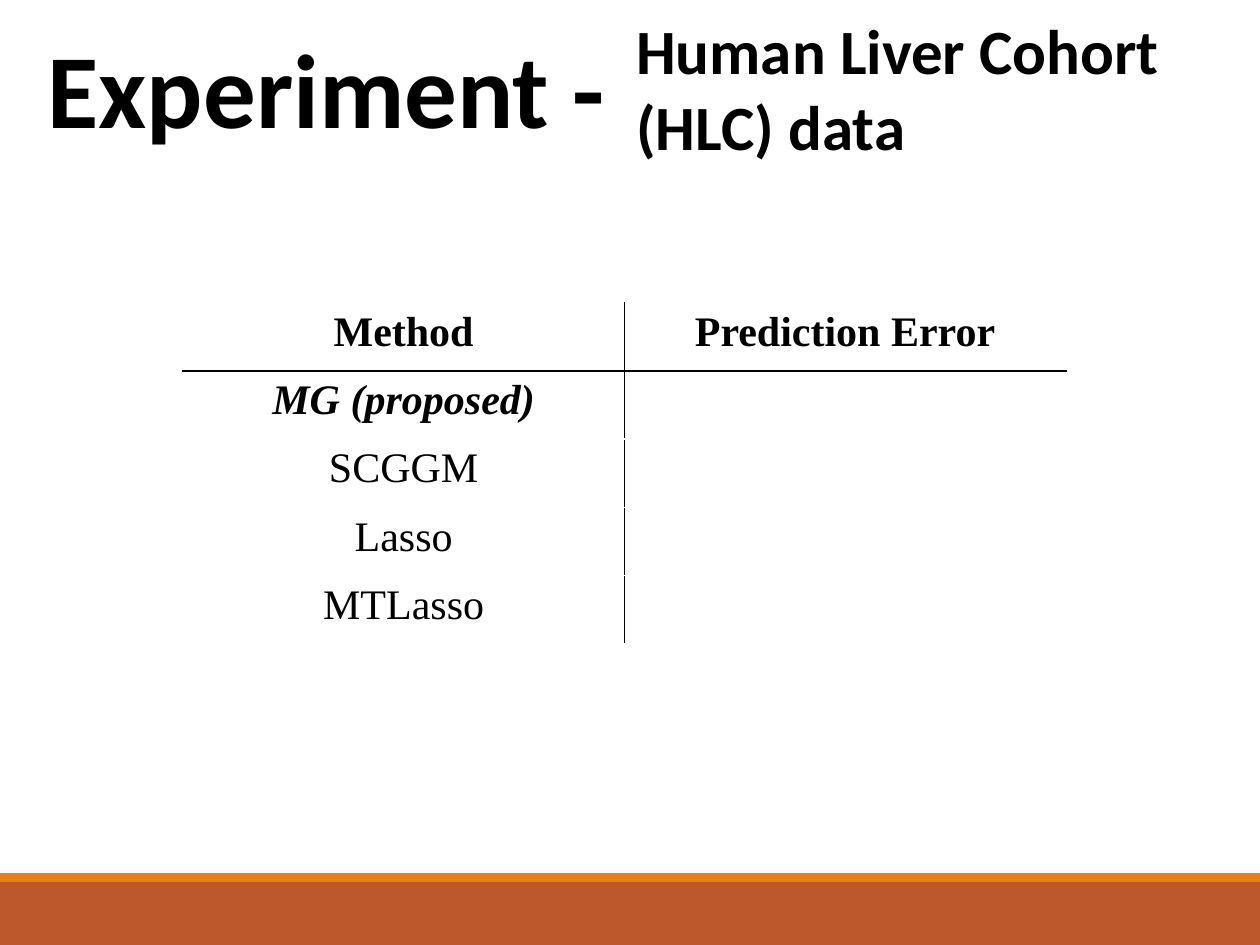
"""Build the Human Liver Cohort experiment slide with its method table."""
from dataclasses import dataclass

from lxml.etree import SubElement
from pptx import Presentation
from pptx.dml.color import RGBColor
from pptx.enum.shapes import MSO_SHAPE
from pptx.enum.text import MSO_ANCHOR, MSO_AUTO_SIZE, PP_ALIGN
from pptx.oxml.ns import qn
from pptx.util import Pt


@dataclass(frozen=True)
class Theme:
    ink: str = "000000"
    band: str = "BD582C"
    stripe: str = "E48312"
    heading_font: str = "Calibri"
    table_font: str = "Times New Roman"
    title_size: int = 60
    subtitle_size: int = 36
    table_size: int = 24


theme = Theme()


def add_text(paragraph, text, font_name, size, bold=True, italic=False):
    run = paragraph.add_run()
    run.text = text
    run.font.name = font_name
    run.font.size = Pt(size)
    run.font.bold = bold
    run.font.italic = italic
    run.font.color.rgb = RGBColor.from_string(theme.ink)


def add_border(cell, side):
    line = SubElement(cell._tc.get_or_add_tcPr(), qn(f"a:{side}"), w=str(Pt(1)))
    fill = SubElement(line, qn("a:solidFill"))
    SubElement(fill, qn("a:srgbClr"), val=theme.ink)


presentation = Presentation()
presentation.slide_width = Pt(720)
presentation.slide_height = Pt(540)
slide = presentation.slides.add_slide(presentation.slide_layouts[5])

for top, height, color in ((504, 36, theme.band), (499, 5, theme.stripe)):
    bar = slide.shapes.add_shape(MSO_SHAPE.RECTANGLE, 0, Pt(top), Pt(720), Pt(height))
    bar.shadow.inherit = False
    bar.fill.solid()
    bar.fill.fore_color.rgb = RGBColor.from_string(color)
    bar.line.fill.background()

title = slide.shapes.title
subtitle = slide.shapes.add_textbox(0, 0, Pt(356), Pt(94))
headings = (
    (title, "Experiment -", theme.title_size, (20, 10, 354, 80)),
    (subtitle, "Human Liver Cohort (HLC) data", theme.subtitle_size, (356.5, 3, 356, 94)),
)
for shape, text, size, (left, top, width, height) in headings:
    shape.left, shape.top = Pt(left), Pt(top)
    shape.width, shape.height = Pt(width), Pt(height)
    frame = shape.text_frame
    frame.word_wrap = True
    frame.auto_size = MSO_AUTO_SIZE.NONE
    frame.vertical_anchor = MSO_ANCHOR.TOP
    paragraph = frame.paragraphs[0]
    paragraph.alignment = PP_ALIGN.LEFT
    add_text(paragraph, text, theme.heading_font, size)

rows = (
    ("Method", "Prediction Error"),
    ("MG (proposed)", ""),
    ("SCGGM", ""),
    ("Lasso", ""),
    ("MTLasso", ""),
)
table = slide.shapes.add_table(
    len(rows), 2, Pt(104.5), Pt(173), Pt(504.6), Pt(39 * len(rows))
).table
table.first_row = False
table.horz_banding = False
for row_index, texts in enumerate(rows):
    for column_index, text in enumerate(texts):
        cell = table.cell(row_index, column_index)
        add_border(cell, "lnL" if column_index else "lnR")
        if row_index < 2:
            add_border(cell, "lnT" if row_index else "lnB")
        cell.fill.background()
        paragraph = cell.text_frame.paragraphs[0]
        paragraph.alignment = PP_ALIGN.CENTER
        if text:
            add_text(paragraph, text, theme.table_font, theme.table_size,
                     bold=row_index < 2, italic=row_index == 1)

presentation.save("out.pptx")
